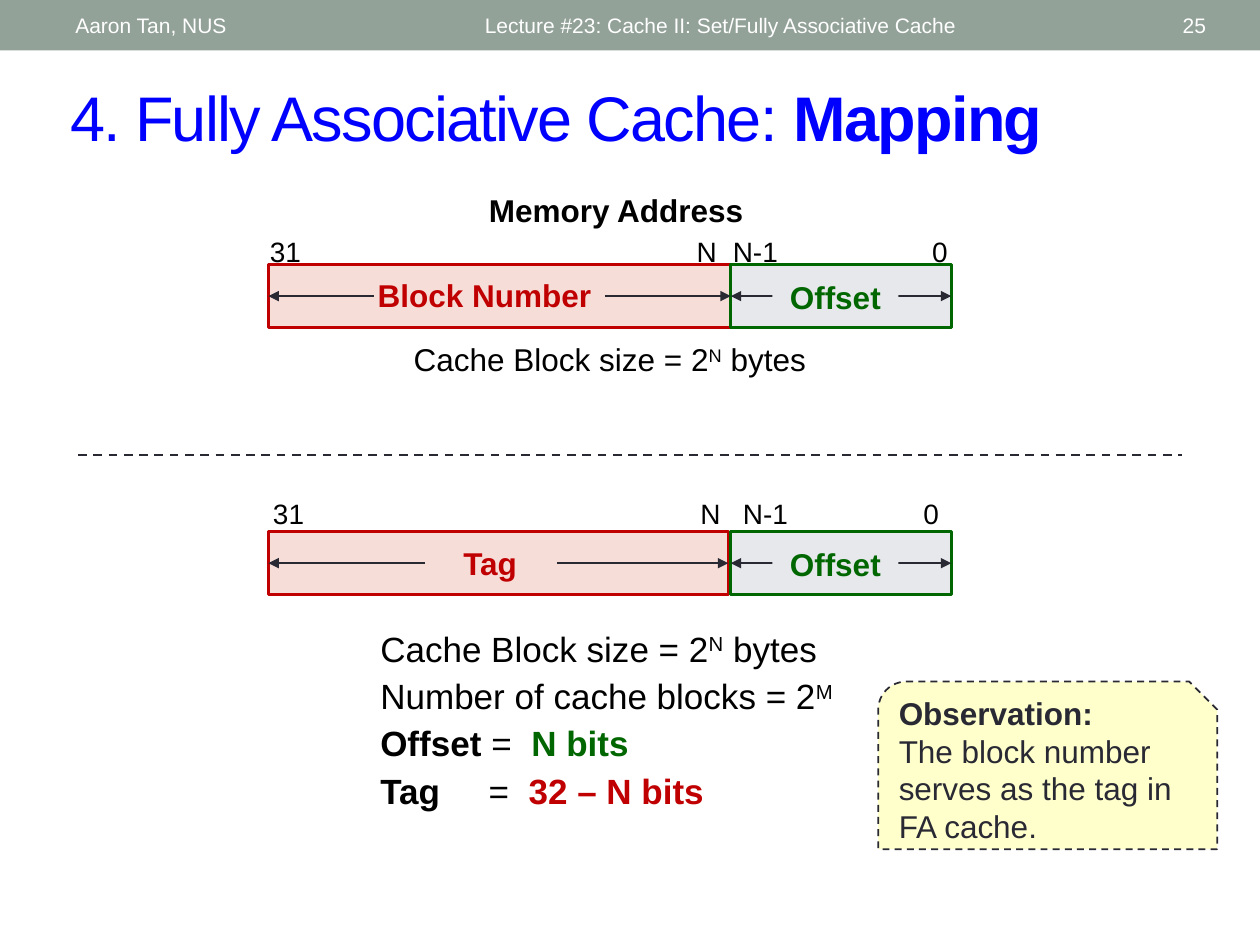
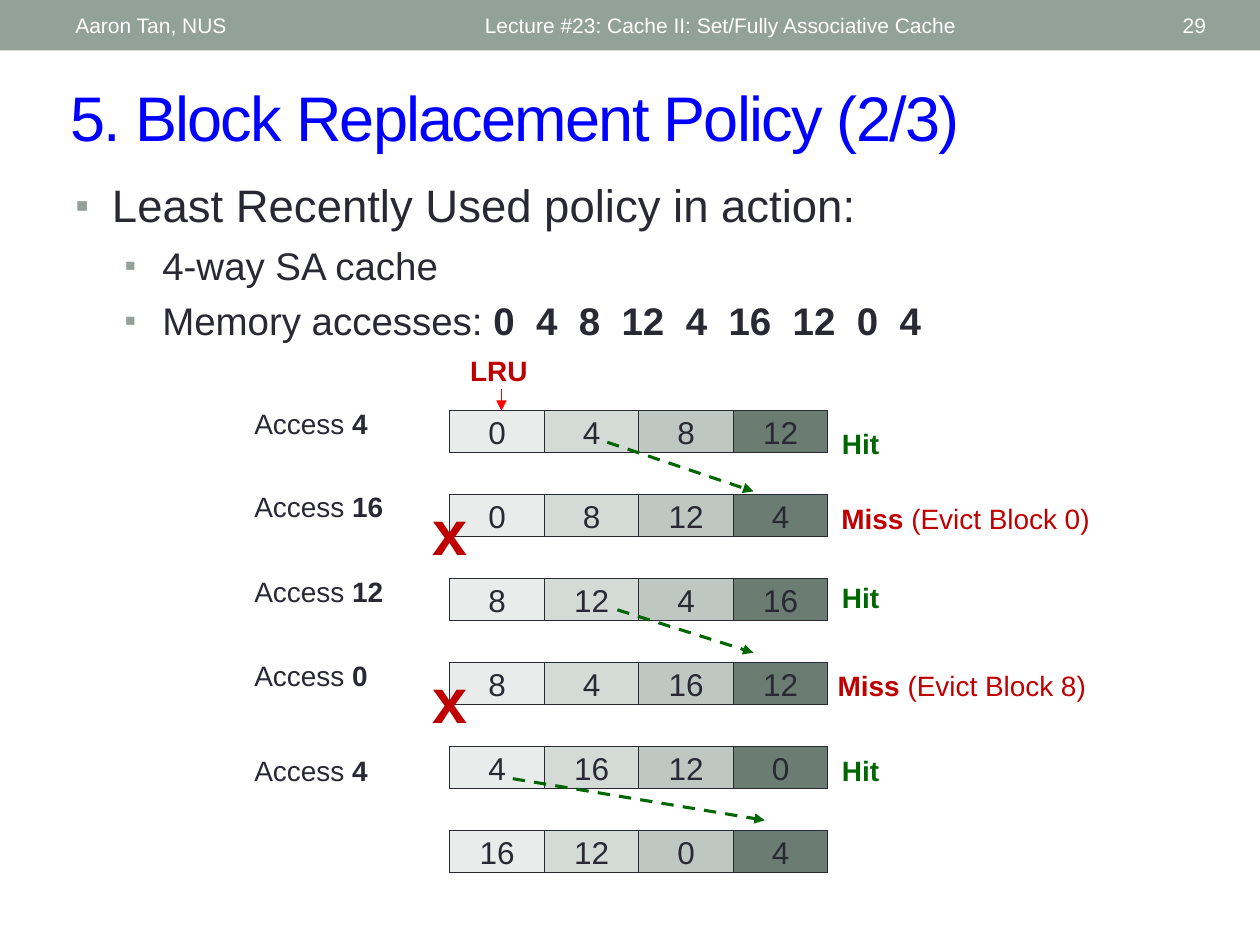
from dataclasses import dataclass
from typing import Any, NamedTuple, Optional

from lxml import etree
from pptx import Presentation
from pptx import util as u
from pptx.dml.color import RGBColor
from pptx.enum import dml, shapes, text
from pptx.oxml.ns import qn

FACE = "Arial"
HEX = {
    "band": "93A299", "title": "0000FF", "white": "FFFFFF", "black": "000000",
    "ink": "292934", "red": "C00000", "green": "006600", "arrow": "FF0000",
    "pink": "F6DDD8", "grey": "E6E8EC", "note": "FFFFCC",
    "way0": "E9ECEB", "way1": "D4DAD6", "way2": "BEC7C2", "way3": "6B7D72",
}
LEFT, MID, RIGHT = text.PP_ALIGN.LEFT, text.PP_ALIGN.CENTER, text.PP_ALIGN.RIGHT
TOP, CENTER = text.MSO_ANCHOR.TOP, text.MSO_ANCHOR.MIDDLE
RECT = shapes.MSO_SHAPE.RECTANGLE


class Box(NamedTuple):
    left: float
    top: float
    width: float
    height: float


class Span(NamedTuple):
    words: str
    bold: Optional[bool] = None
    color: Optional[str] = None
    raised: bool = False
    space: float = 0  # extra letter spacing in points


class Bullet(NamedTuple):
    level: int
    margin: float
    hang: float


@dataclass
class Para:
    spans: list[Span]
    size: float
    color: str = "black"
    bold: bool = False
    align: Any = LEFT
    before: float = 0
    bullet: Optional[Bullet] = None


def plain(words: str, size: float, color: str = "black", **more: Any) -> Para:
    return Para([Span(words)], size, color, **more)


def rgb(name: str) -> RGBColor:
    return RGBColor.from_string(HEX[name])


# Text
def add_bullet(par: Any, mark: Bullet) -> None:
    par.level = mark.level
    props = par._p.get_or_add_pPr()
    props.set("marL", str(u.Inches(mark.margin)))
    props.set("indent", str(u.Inches(-mark.hang)))
    tint = etree.SubElement(props, qn("a:buClr"))
    etree.SubElement(tint, qn("a:srgbClr"), val=HEX["band"])
    etree.SubElement(props, qn("a:buSzPct"), val="85000")
    etree.SubElement(props, qn("a:buFont"), typeface=FACE)
    etree.SubElement(props, qn("a:buChar"), char="▪")


def set_font(font: Any, size: float, color: str, bold: bool) -> None:
    font.name, font.size, font.bold = FACE, u.Pt(size), bold
    font.color.rgb = rgb(color)


def write(shape: Any, paras: list[Para], anchor: Any = TOP, wrap: bool = False) -> None:
    frame = shape.text_frame
    frame.word_wrap, frame.vertical_anchor = wrap, anchor
    for i, para in enumerate(paras):
        par = frame.add_paragraph() if i else frame.paragraphs[0]
        par.alignment = para.align
        par.space_before = u.Pt(para.before)
        if para.bullet:
            add_bullet(par, para.bullet)
        set_font(par.font, para.size, para.color, para.bold)
        for span in para.spans:
            run = par.add_run()
            run.text = span.words
            bold = para.bold if span.bold is None else span.bold
            set_font(run.font, para.size, span.color or para.color, bold)
            props = run._r.get_or_add_rPr()
            if span.raised:
                props.set("baseline", "30000")
            if span.space:
                props.set("spc", str(round(span.space * 100)))


def add_text(slide: Any, box: Box, *paras: Para, anchor: Any = TOP, wrap: bool = False) -> None:
    write(slide.shapes.add_textbox(*map(u.Inches, box)), list(paras), anchor, wrap)


# Shapes and lines
def add_box(slide: Any, box: Box, fill: str, edge: Optional[str] = None,
            weight: float = 1, kind: Any = RECT) -> Any:
    shape = slide.shapes.add_shape(kind, *map(u.Inches, box))
    shape.shadow.inherit = False
    shape.fill.solid()
    shape.fill.fore_color.rgb = rgb(fill)
    if edge:
        shape.line.color.rgb = rgb(edge)
        shape.line.width = u.Pt(weight)
    else:
        shape.line.fill.background()
    return shape


def add_line(slide: Any, start: tuple[float, float], end: tuple[float, float], color: str = "ink",
             weight: float = 1, dash: bool = False, ends: tuple[str, ...] = ("tailEnd",)) -> Any:
    line = slide.shapes.add_connector(shapes.MSO_CONNECTOR.STRAIGHT,
                                      *map(u.Inches, (*start, *end)))
    line.line.color.rgb = rgb(color)
    line.line.width = u.Pt(weight)
    if dash:
        line.line.dash_style = dml.MSO_LINE.DASH
    props = line._element.spPr
    stroke = props.find(qn("a:ln"))
    for tip in ends:
        etree.SubElement(stroke, qn(f"a:{tip}"), type="triangle")
    etree.SubElement(props, qn("a:effectLst"))
    return line


# Band, footers and title of every slide
def new_slide(deck: Any, page: int, *title: Span) -> Any:
    slide = deck.slides.add_slide(deck.slide_layouts[6])
    add_box(slide, Box(0, 0, 10, 0.4), "band")
    for left, width, words, align in (
        (0.5, 3.17, "Aaron Tan, NUS", LEFT),
        (3.75, 4.5, "Lecture #23: Cache II: Set/Fully Associative Cache", LEFT),
        (8.72, 0.95, str(page), RIGHT),
    ):
        add_text(slide, Box(left, 0.02, width, 0.36), plain(words, 12, "white", align=align),
                 anchor=CENTER, wrap=True)
    spans = [span._replace(space=-1) for span in title]
    add_text(slide, Box(0.46, 0.57, 9.21, 0.7), Para(spans, 36, "title"),
             anchor=CENTER, wrap=True)
    return slide


# Address split into a block part and an offset
class Bit(NamedTuple):
    words: str
    left: float
    width: float


@dataclass
class Address:
    top: float
    width: float
    label: str
    place: Box
    inner: tuple[float, float]  # inner ends of the two arrows
    bit_top: float
    bits: list[Bit]


ADDRESSES = [
    Address(2.1, 3.67, "Block Number", Box(2.89, 2.14, 1.91, 0.4), (2.97, 4.8), 1.81,
            [Bit("31", 2.04, 0.45), Bit("N", 5.43, 0.36), Bit("N-1", 5.71, 0.57),
             Bit("0", 7.29, 0.34)]),
    Address(4.22, 3.65, "Tag", Box(3.19, 4.27, 1.4, 0.4), (3.37, 4.42), 3.89,
            [Bit("31", 2.04, 0.5), Bit("N", 5.46, 0.36), Bit("N-1", 5.79, 0.57),
             Bit("0", 7.22, 0.34)]),
]


def draw_address(slide: Any, part: Address) -> None:
    for bit in part.bits:
        add_text(slide, Box(bit.left, part.bit_top, bit.width, 0.37),
                 plain(bit.words, 16, align=MID))
    left, split, right, mid = 2.13, 5.8, 7.55, part.top + 0.25
    block = add_box(slide, Box(left, part.top, part.width, 0.5), "pink", "red", 1.5)
    offset = add_box(slide, Box(split, part.top, right - split, 0.5), "grey", "green", 1.5)
    add_text(slide, part.place, plain(part.label, 18, "red", bold=True, align=MID))
    for inner, outer, site in zip(part.inner, (left, left + part.width), (1, 3)):
        add_line(slide, (inner, mid), (outer, mid)).end_connect(block, site)
    span = add_line(slide, (right, mid), (split, mid), ends=("headEnd", "tailEnd"))
    span.begin_connect(offset, 3)
    span.end_connect(offset, 1)
    cover = add_box(slide, Box(6.13, part.top + 0.06, 1, 0.4), "grey")
    write(cover, [plain("Offset", 18, "green", bold=True, align=MID)], wrap=True)


def mapping(deck: Any) -> None:
    slide = new_slide(deck, 25, Span("4. Fully Associative Cache: "), Span("Mapping", True))
    size = [Span("Cache Block size = 2"), Span("N", raised=True), Span(" bytes")]
    add_text(slide, Box(3.77, 1.47, 2.24, 0.4),
             plain("Memory Address", 18, bold=True, align=MID))
    add_text(slide, Box(2.38, 2.65, 4.92, 0.4), Para(size, 18, align=MID), wrap=True)
    for part in ADDRESSES:
        draw_address(slide, part)
    add_line(slide, (0.62, 3.61), (9.38, 3.61), weight=1.25, dash=True, ends=())

    # Field sizes, with the equals signs spaced into line
    blank = 5.56
    facts = [
        size,
        [Span("Number of cache blocks = 2"), Span("M", raised=True)],
        [Span("Offset", True), Span(" ="), Span(" ", space=blank), Span("N bits", True, "green")],
        [Span("Tag", True), Span(" ", space=4 * blank), Span("="), Span(" ", space=blank),
         Span("32 – N bits", True, "red")],
    ]
    add_text(slide, Box(2.92, 4.93, 3.84, 1.55), *(Para(fact, 20, before=3) for fact in facts))

    note = add_box(slide, Box(6.97, 5.41, 2.69, 1.33), "note", "ink",
                   kind=shapes.MSO_SHAPE.SNIP_ROUND_RECTANGLE)
    note.line.dash_style = dml.MSO_LINE.DASH
    write(note, [plain("Observation:", 18, "ink", bold=True),
                 plain("The block number serves as the tag in FA cache.", 18, "ink")],
          CENTER, True)


# Cache states under the least recently used policy
class Step(NamedTuple):
    ways: tuple[int, ...]
    access: int
    top: float  # of the access label
    result: Box
    evicts: Optional[int] = None


STEPS = [
    Step((0, 4, 8, 12), 4, 3.18, Box(6.58, 3.34, 0.5, 0.37)),
    Step((0, 8, 12, 4), 16, 3.84, Box(6.58, 3.93, 3.01, 0.37), 0),
    Step((8, 12, 4, 16), 12, 4.51, Box(6.58, 4.56, 0.5, 0.37)),
    Step((8, 4, 16, 12), 0, 5.18, Box(6.55, 5.26, 2.68, 0.37), 8),
    Step((4, 16, 12, 0), 4, 5.93, Box(6.58, 5.93, 0.5, 0.37)),
]
FINAL = (16, 12, 0, 4)
MOVES = [((4.82, 3.51), (5.98, 3.9)), ((4.9, 4.84), (5.98, 5.18)), ((4.07, 6.18), (6.07, 6.51))]


def draw_row(slide: Any, top: float, ways: tuple[int, ...]) -> None:
    for i, block in enumerate(ways):
        cell = add_box(slide, Box(3.57 + i * 0.75, top, 0.75, 0.33), f"way{i}", "ink", 0.75)
        write(cell, [plain(str(block), 18, "ink", align=MID)], CENTER)


def draw_step(slide: Any, top: float, step: Step) -> None:
    add_text(slide, Box(1.92, step.top, 1.23, 0.37),
             Para([Span("Access "), Span(str(step.access), True)], 16, "ink"))
    if step.evicts is None:
        add_text(slide, step.result, plain("Hit", 16, "green", bold=True, align=MID))
        return
    add_text(slide, step.result,
             Para([Span("Miss ", True), Span(f"(Evict Block {step.evicts})")], 16, "red"))
    add_text(slide, Box(3.32, top + 0.14, 0.5, 0.28),
             plain("x", 36, "red", bold=True, align=MID), anchor=CENTER, wrap=True)


def policy(deck: Any) -> None:
    slide = new_slide(deck, 29, Span("5. Block Replacement Policy (2/3)"))
    trace = [Span("Memory accesses: ")]
    for i, block in enumerate((0, 4, 8, 12, 4, 16, 12, 0, 4)):
        if i:
            trace.append(Span(" ", True, space=6.12))
        trace.append(Span(str(block), True))
    sub = Bullet(1, 0.69, 0.3)
    add_text(slide, Box(0.5, 1.36, 8.42, 1.67),
             plain("Least Recently Used policy in action:", 26, "ink", before=5,
                   bullet=Bullet(0, 0.29, 0.29)),
             plain("4-way SA cache", 22, "ink", before=5.5, bullet=sub),
             Para(trace, 22, "ink", before=5.5, bullet=sub), wrap=True)

    first, pitch = 3.26, 2 / 3
    tops = [first + i * pitch for i in range(len(STEPS) + 1)]
    for top, ways in zip(tops, [step.ways for step in STEPS] + [FINAL]):
        draw_row(slide, top, ways)
    for top, step in zip(tops, STEPS):
        draw_step(slide, top, step)
    add_text(slide, Box(3.63, 2.76, 0.66, 0.37), plain("LRU", 16, "red", bold=True, align=MID))
    add_line(slide, (3.98, 3.09), (3.98, first), "arrow", 0.75)
    for start, end in MOVES:
        add_line(slide, start, end, "green", 1.75, True)


def main() -> None:
    deck = Presentation()
    deck.slide_width, deck.slide_height = u.Inches(10), u.Inches(7.5)
    mapping(deck)
    policy(deck)
    deck.save("out.pptx")


if __name__ == "__main__":
    main()
